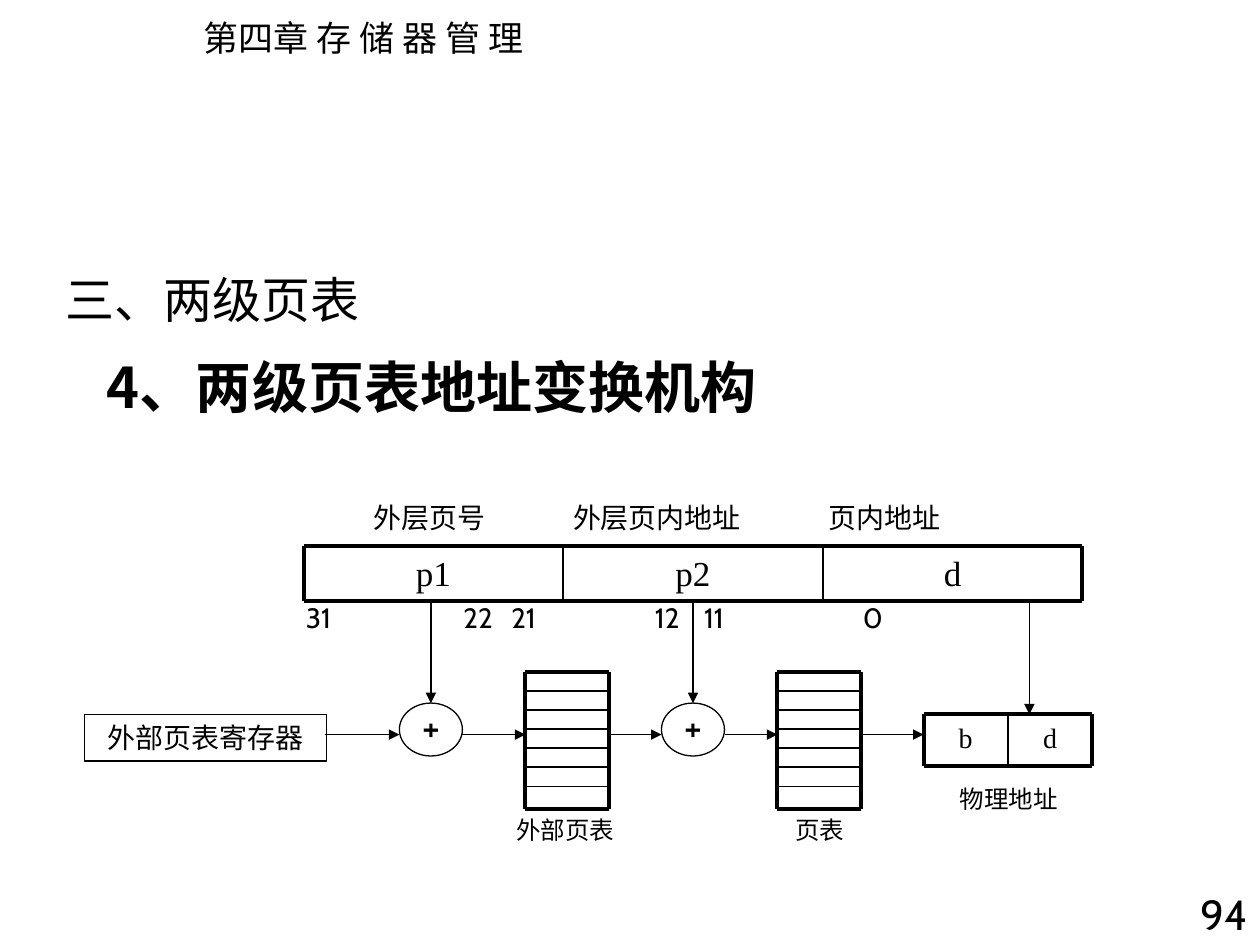
import pptx
import pptx.dml.color
import pptx.enum.shapes
import pptx.enum.text
import pptx.oxml
import pptx.oxml.ns
import pptx.util
from pptx.util import Inches

COLORS = {"ink": "000000", "paper": "FFFFFF"}
INK = pptx.dml.color.RGBColor.from_string(COLORS["ink"])
PAPER = pptx.dml.color.RGBColor.from_string(COLORS["paper"])
CJK, SANS, SERIF = "Noto Sans CJK SC", "Cabin", "Times New Roman"
ALIGN = pptx.enum.text.PP_ALIGN
ANCHOR = pptx.enum.text.MSO_ANCHOR
SHAPE = pptx.enum.shapes.MSO_SHAPE
NAMESPACE = pptx.oxml.ns.nsdecls("a")

presentation = pptx.Presentation()
presentation.slide_width = Inches(10)
presentation.slide_height = Inches(7.5)
slide = presentation.slides.add_slide(presentation.slide_layouts[5])
slide.background.fill.solid()
slide.background.fill.fore_color.rgb = PAPER


def write(box, text, size, font=SANS, align=ALIGN.LEFT, bold=False, tabs=(),
          anchor=ANCHOR.TOP, wrap=True, inset=0.05):
    frame = box.text_frame
    frame.word_wrap = wrap
    frame.auto_size = pptx.enum.text.MSO_AUTO_SIZE.NONE
    frame.vertical_anchor = anchor
    frame.margin_left = frame.margin_right = Inches(0.1)
    frame.margin_top = frame.margin_bottom = Inches(inset)
    paragraph = frame.paragraphs[0]
    paragraph.alignment = align
    if tabs:
        stops = "".join(f'<a:tab pos="{Inches(stop)}" algn="l"/>' for stop in tabs)
        paragraph._p.get_or_add_pPr().append(
            pptx.oxml.parse_xml(f"<a:tabLst {NAMESPACE}>{stops}</a:tabLst>"))
    run = paragraph.add_run()
    run.text = text
    run.font.size = pptx.util.Pt(size)
    run.font.bold = bold
    run.font.color.rgb = INK
    run.font.name = font
    run.font._element.append(
        pptx.oxml.parse_xml(f'<a:ea {NAMESPACE} typeface="{CJK}"/>'))


def draw_line(x1, y1, x2, y2, width, arrow=False):
    connector = slide.shapes.add_connector(
        pptx.enum.shapes.MSO_CONNECTOR.STRAIGHT,
        Inches(x1), Inches(y1), Inches(x2), Inches(y2))
    connector.line.color.rgb = INK
    connector.line.width = pptx.util.Pt(width)
    if arrow:
        connector.line._get_or_add_ln().append(
            pptx.oxml.parse_xml(f'<a:tailEnd {NAMESPACE} type="triangle"/>'))
    connector._element.spPr.append(
        pptx.oxml.parse_xml(f"<a:effectLst {NAMESPACE}/>"))


title = slide.shapes.title
title.left, title.top = Inches(0.42), Inches(2)
title.width, title.height = Inches(5.67), Inches(0.75)
write(title, "三、两级页表", 28, CJK, anchor=ANCHOR.MIDDLE)

labels = [
    (1.52, 0.08, 2.8, 0.44, "第四章 存 储 器 管 理", dict(size=20, font=CJK, wrap=False)),
    (0.75, 2.75, 7.09, 1.02, "4、两级页表地址变换机构", dict(size=32, font=CJK, bold=True)),
    (9.33, 7, 0.67, 0.56, "94", dict(size=24, align=ALIGN.RIGHT)),
    (2.87, 3.92, 5.33, 0.37, "外层页号\t外层页内地址\t页内地址",
     dict(size=16, tabs=(1.58, 3.61))),
    (2.33, 4.72, 6.33, 0.37, "31\t22\t21\t12\t11\t0",
     dict(size=16, tabs=(1.25, 1.63, 2.77, 3.16, 4.42))),
    (4, 6.42, 1, 0.34, "外部页表", dict(size=14)),
    (6.17, 6.42, 0.67, 0.34, "页表", dict(size=14, align=ALIGN.CENTER)),
    (7.42, 6.17, 1.17, 0.34, "物理地址", dict(size=14, align=ALIGN.CENTER)),
]
for left, top, width, height, text, style in labels:
    box = slide.shapes.add_textbox(Inches(left), Inches(top), Inches(width), Inches(height))
    write(box, text, **style)

address_bars = [
    (2.41, 4.33, 2.06, 0.44, 20, ["p1", "p2", "d"]),
    (7.33, 5.67, 0.67, 0.41, 16, ["b", "d"]),
]
for left, top, cell_width, height, size, fields in address_bars:
    right, bottom = left + cell_width * len(fields), top + height
    for index, field in enumerate(fields):
        x = left + index * cell_width
        box = slide.shapes.add_textbox(
            Inches(x), Inches(top), Inches(cell_width), Inches(height))
        write(box, field, size, SERIF, ALIGN.CENTER)
        draw_line(x, top, x, bottom, 1 if index else 2.25)
    draw_line(right, top, right, bottom, 2.25)
    for y in (top, bottom):
        draw_line(left, y, right, y, 2.25)

table_top, table_bottom, table_width, row_height = 5.33, 6.42, 0.66, 0.152
for left in (4.17, 6.17):
    right = left + table_width
    for y in (table_top, table_bottom):
        draw_line(left, y, right, y, 2.25)
    for row in range(1, 7):
        y = table_top + row * row_height
        draw_line(left, y, right, y, 1)
    for x in (left, right):
        draw_line(x, table_top, x, table_bottom, 2.25)

outlined = [
    (SHAPE.RECTANGLE, 0.67, 5.67, 1.92, 0.37, "外部页表寄存器", 16, 0.05),
    (SHAPE.OVAL, 3.17, 5.58, 0.5, 0.42, "", 22, 0),
    (SHAPE.OVAL, 5.25, 5.58, 0.5, 0.42, "", 22, 0),
]
for kind, left, top, width, height, text, size, inset in outlined:
    shape = slide.shapes.add_shape(
        kind, Inches(left), Inches(top), Inches(width), Inches(height))
    shape.shadow.inherit = False
    shape.fill.background()
    shape.line.color.rgb = INK
    shape.line.width = pptx.util.Pt(0.75)
    if text:
        write(shape, text, size, align=ALIGN.CENTER, inset=inset)
    else:
        plus = slide.shapes.add_textbox(
            Inches(left), Inches(top), Inches(width), Inches(0.37))
        write(plus, "+", size, align=ALIGN.CENTER, inset=inset)

flow_y = 5.83
for start, end in [(2.58, 3.17), (3.67, 4.17), (4.83, 5.25), (5.75, 6.17), (6.83, 7.33)]:
    draw_line(start, flow_y, end, flow_y, 0.75, arrow=True)
for x, end in [(3.42, 5.58), (5.5, 5.58), (8.17, 5.67)]:
    draw_line(x, 4.75, x, end, 0.75, arrow=True)

presentation.save("out.pptx")
